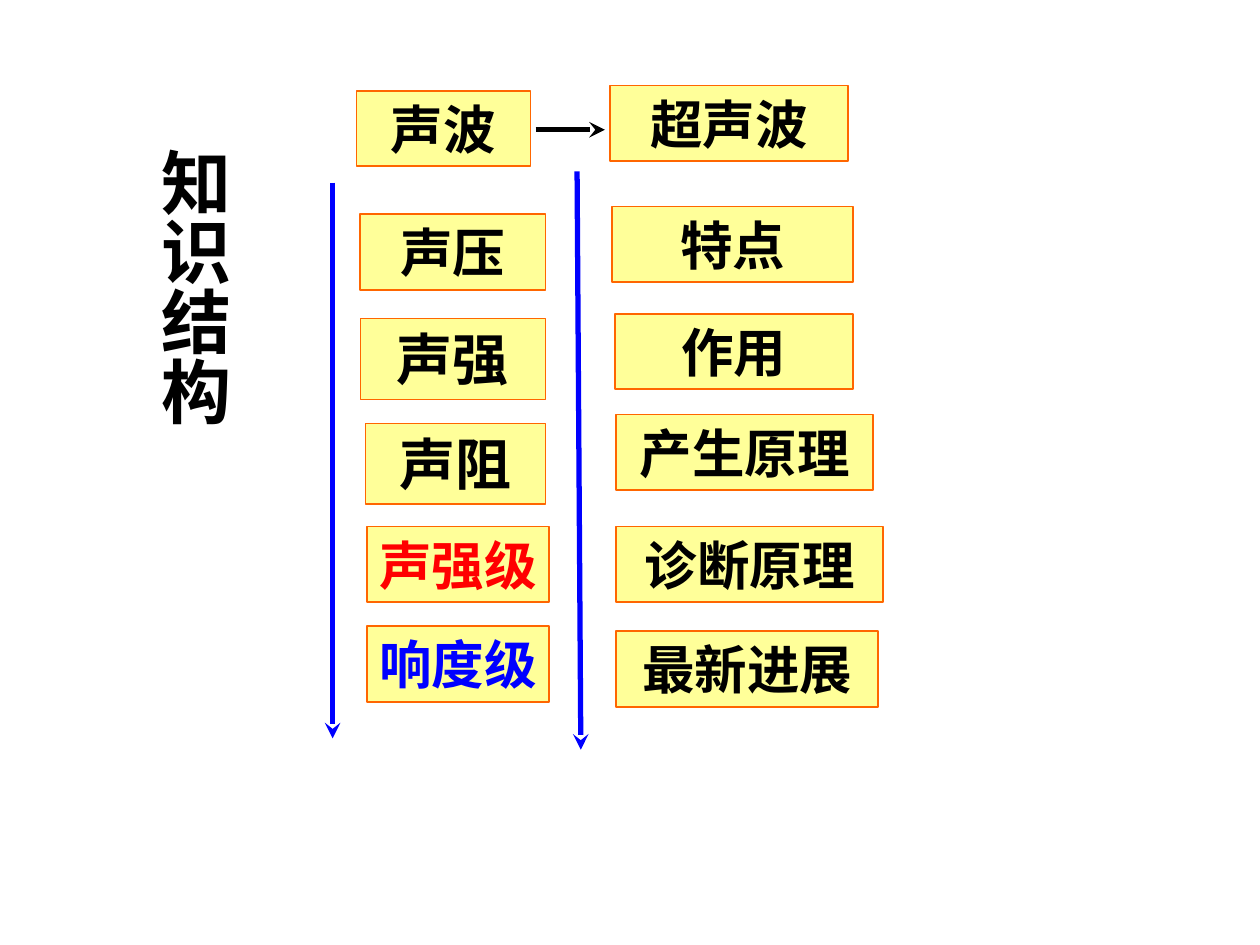
from typing import NamedTuple

from lxml import etree
from pptx import Presentation
from pptx.dml.color import RGBColor
from pptx.enum import shapes, text
from pptx.oxml import ns
from pptx.util import Inches, Pt

BLACK, RED, BLUE = "000000", "FF0000", "0000FF"
FILL, EDGE = "FFFF99", "FF6600"


class Box(NamedTuple):
    label: str
    left: float
    top: float
    width: float
    height: float = 0.6
    size: int = 30
    edge: float = 1
    color: str = BLACK
    wrap: bool = True


class Arrow(NamedTuple):
    start: tuple[float, float]
    end: tuple[float, float]
    color: str


TITLE = Box("知识结构", 1.06, 1.07, 0.86, 5.39, 40)

BOXES = [
    Box("声波", 2.83, 0.72, 1.38),
    Box("声压", 2.86, 1.7, 1.47),
    Box("声强", 2.86, 2.53, 1.47, 0.64, 32, 0.75),
    Box("声阻", 2.9, 3.36, 1.43, 0.64, 32, 0.75),
    Box("声强级", 2.91, 4.18, 1.45, color=RED, wrap=False),
    Box("响度级", 2.91, 4.97, 1.45, color=BLUE, wrap=False),
    Box("超声波", 4.84, 0.68, 1.89),
    Box("特点", 4.86, 1.64, 1.91),
    Box("作用", 4.88, 2.49, 1.89),
    Box("产生原理", 4.89, 3.29, 2.04),
    Box("诊断原理", 4.89, 4.18, 2.12),
    Box("最新进展", 4.89, 5.01, 2.08),
]

ARROWS = [
    Arrow((4.25, 1.03), (4.8, 1.03), BLACK),
    Arrow((2.64, 1.45), (2.64, 5.86), BLUE),
    Arrow((4.58, 1.36), (4.61, 5.95), BLUE),
]


def paint(form, color: str) -> None:
    form.rgb = RGBColor.from_string(color)


def place(box: Box) -> list:
    return [Inches(n) for n in (box.left, box.top, box.width, box.height)]


def apply(item, values: dict) -> None:
    for name, value in values.items():
        setattr(item, name, value)


def write(shape, box: Box, side: float, edge: float) -> None:
    frame = shape.text_frame
    apply(frame, {
        "word_wrap": box.wrap,
        "auto_size": text.MSO_AUTO_SIZE.SHAPE_TO_FIT_TEXT,
        "vertical_anchor": text.MSO_ANCHOR.TOP,
        "margin_left": Inches(side),
        "margin_right": Inches(side),
        "margin_top": Inches(edge),
        "margin_bottom": Inches(edge),
    })
    line = frame.paragraphs[0]
    line.alignment = text.PP_ALIGN.CENTER
    run = line.add_run()
    run.text = box.label
    apply(run.font, {"name": "Times New Roman", "size": Pt(box.size), "bold": True})
    paint(run.font.color, box.color)


def draw_box(slide, box: Box) -> None:
    shape = slide.shapes.add_shape(shapes.MSO_SHAPE.RECTANGLE, *place(box))
    shape.shadow.inherit = False
    shape.fill.solid()
    paint(shape.fill.fore_color, FILL)
    paint(shape.line.color, EDGE)
    shape.line.width = Pt(box.edge)
    write(shape, box, 0.1, 0.05)


def draw_arrow(slide, arrow: Arrow) -> None:
    ends = [Inches(n) for n in (*arrow.start, *arrow.end)]
    link = slide.shapes.add_connector(shapes.MSO_CONNECTOR.STRAIGHT, *ends)
    paint(link.line.color, arrow.color)
    link.line.width = Pt(3)
    tip = etree.SubElement(link.line._get_or_add_ln(), ns.qn("a:tailEnd"))
    tip.set("type", "stealth")
    etree.SubElement(link._element.spPr, ns.qn("a:effectLst"))


def draw_title(slide, box: Box) -> None:
    shape = slide.shapes.add_textbox(*place(box))
    write(shape, box, 0.05, 0.1)
    shape.text_frame._txBody.bodyPr.set("vert", "eaVert")


def main() -> None:
    deck = Presentation()
    apply(deck, {"slide_width": Inches(10), "slide_height": Inches(7.5)})
    slide = deck.slides.add_slide(deck.slide_layouts[6])
    draw_title(slide, TITLE)
    for box in BOXES:
        draw_box(slide, box)
    for arrow in ARROWS:
        draw_arrow(slide, arrow)
    deck.save("out.pptx")


if __name__ == "__main__":
    main()
